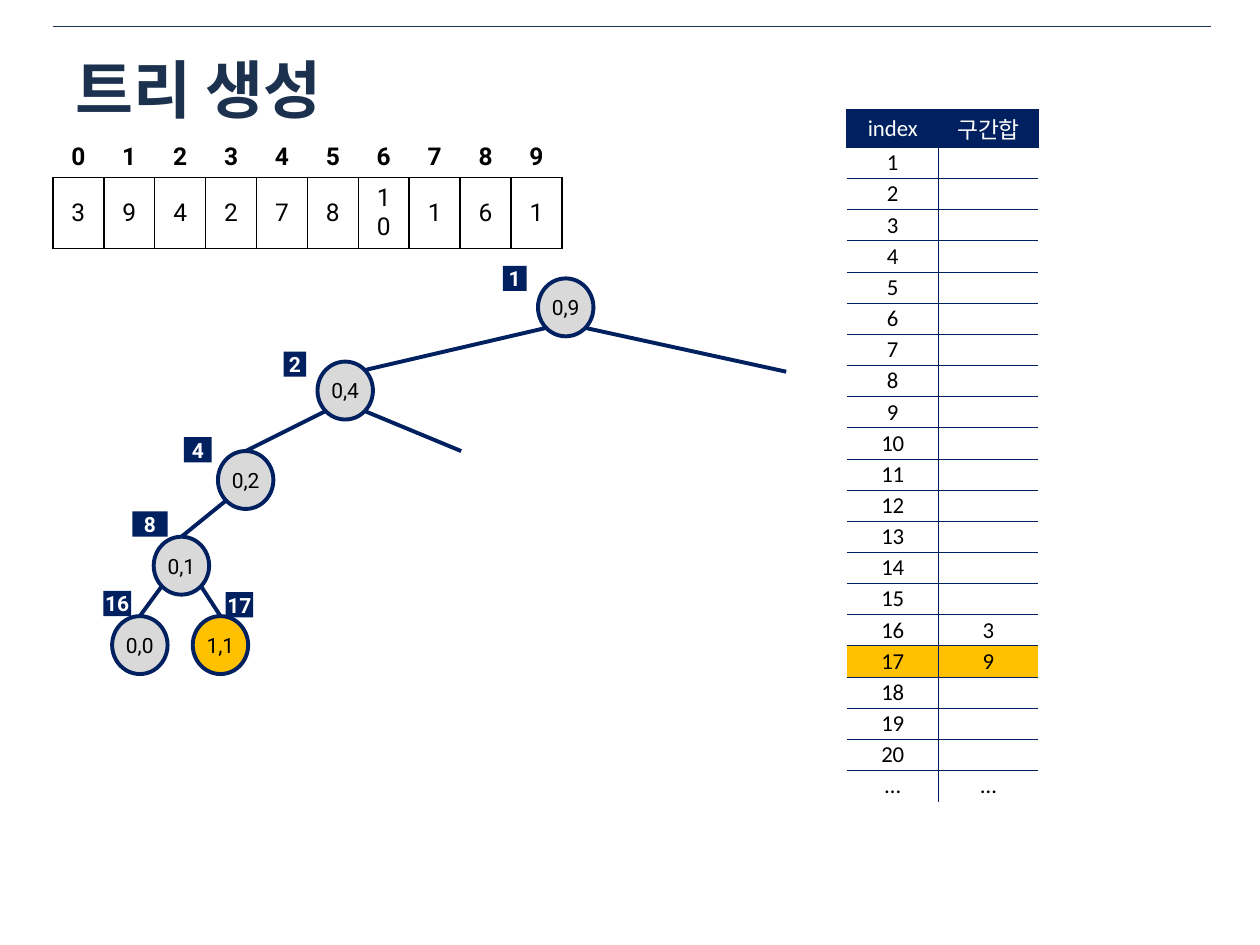
from dataclasses import dataclass
from math import cos, pi

from lxml import etree
from pptx import Presentation
from pptx import util as u
from pptx.dml.color import RGBColor
from pptx.enum import shapes, text
from pptx.oxml.ns import qn

NAVY = RGBColor(0x00, 0x20, 0x60)
INK = RGBColor(0x1C, 0x31, 0x4E)
GRAY = RGBColor(0xD9, 0xD9, 0xD9)
AMBER = RGBColor(0xFF, 0xC0, 0x00)
BLACK = RGBColor(0x00, 0x00, 0x00)
WHITE = RGBColor(0xFF, 0xFF, 0xFF)

COLUMNS, ROWS = 1000, 750
UNIT = u.Inches(10) // COLUMNS
NODE_W, NODE_H = 44, 46
DIAGONAL = cos(pi / 4)
TAG_H = 20
PLAIN_TABLE = "{2D5ABB26-0587-4C30-8999-92F81FD0307C}"
VALUES = [3, 9, 4, 2, 7, 8, 10, 1, 6, 1]
SUMS = {16: 3, 17: 9}
CURRENT = 17


@dataclass(frozen=True)
class Node:
    index: int
    span: str
    col: float
    row: float
    tag_col: float
    tag_row: float
    tag_width: float
    joins_at_top: bool = True

    def diagonal(self, across: int, down: int) -> tuple[float, float]:
        return (self.col + NODE_W / 2 * (1 + across * DIAGONAL),
                self.row + NODE_H / 2 * (1 + down * DIAGONAL))


@dataclass(frozen=True)
class OpenBranch:
    index: int
    col: float
    row: float


NODES = [
    Node(1, "0,9", 427, 221, 399, 211, 19),
    Node(2, "0,4", 252, 287, 225, 279, 18, joins_at_top=False),
    Node(4, "0,2", 173, 358, 146, 347, 22),
    Node(8, "0,1", 122, 426, 105, 406, 28),
    Node(16, "0,0", 89, 489, 82, 469, 22),
    Node(17, "1,1", 153, 489, 179, 470, 22),
]
OPEN_BRANCHES = [OpenBranch(3, 624, 295), OpenBranch(5, 366, 358)]


def grid(*lengths: float) -> list[int]:
    return [round(length * UNIT) for length in lengths]


def write(frame, words: str, size: float, font: str, color: RGBColor,
          bold: bool = False, align=text.PP_ALIGN.CENTER) -> None:
    paragraph = frame.paragraphs[0]
    paragraph.alignment = align
    paragraph.font.size = u.Pt(size)
    paragraph.font.name = font
    paragraph.font.bold = bold
    paragraph.font.color.rgb = color
    if words:
        paragraph.add_run().text = words
    else:
        paragraph._p.get_or_add_endParaRPr().set("sz", str(size * 100))


def draw_line(slide, start: tuple[float, float], end: tuple[float, float],
              color: RGBColor, width: float):
    line = slide.shapes.add_connector(
        shapes.MSO_CONNECTOR.STRAIGHT, *grid(*start, *end))
    line.line.color.rgb = color
    line.line.width = u.Pt(width)
    etree.SubElement(line.element.spPr, qn("a:effectLst"))
    return line


def draw_box(slide, preset, place: tuple[float, ...], fill: RGBColor,
             words: str, color: RGBColor, bold: bool):
    box = slide.shapes.add_shape(preset, *grid(*place))
    box.shadow.inherit = False
    box.fill.solid()
    box.fill.fore_color.rgb = fill
    frame = box.text_frame
    frame.margin_left = frame.margin_right = 0
    frame.margin_top = frame.margin_bottom = 0
    frame.vertical_anchor = text.MSO_ANCHOR.MIDDLE
    write(frame, words, 12, "Roboto", color, bold)
    return box


def draw_node(slide, node: Node):
    circle = draw_box(slide, shapes.MSO_SHAPE.OVAL,
                      (node.col, node.row, NODE_W, NODE_H),
                      AMBER if node.index == CURRENT else GRAY,
                      node.span, BLACK, False)
    circle.line.color.rgb = NAVY
    circle.line.width = u.Pt(2.25)
    return circle


def draw_tag(slide, node: Node) -> None:
    tag = draw_box(slide, shapes.MSO_SHAPE.RECTANGLE,
                   (node.tag_col, node.tag_row, node.tag_width, TAG_H),
                   NAVY, str(node.index), WHITE, True)
    tag.line.fill.background()


def draw_tree(slide) -> None:
    by_index = {node.index: node for node in NODES}
    circles = {node.index: draw_node(slide, node) for node in NODES}
    for child in NODES[1:] + OPEN_BRANCHES:
        side = 1 if child.index % 2 else -1
        start = by_index[child.index // 2].diagonal(side, 1)
        if isinstance(child, OpenBranch):
            draw_line(slide, start, (child.col, child.row), NAVY, 2.25)
        else:
            branch = draw_line(slide, start, child.diagonal(1, -1), NAVY, 2.25)
            if child.joins_at_top:
                branch.end_connect(circles[child.index], 0)
    for node in NODES:
        draw_tag(slide, node)


def add_plain_table(slide, col: float, row: float,
                    widths: list[float], heights: list[float]):
    frame = slide.shapes.add_table(
        len(heights), len(widths),
        *grid(col, row, sum(widths), sum(heights)))
    table = frame.table
    table.horz_banding = False
    next(frame.element.iter(qn("a:tableStyleId"))).text = PLAIN_TABLE
    for column, width in zip(table.columns, widths):
        column.width = grid(width)[0]
    for line, height in zip(table.rows, heights):
        line.height = grid(height)[0]
    return table


def fill_cell(cell, words: str, size: int, font: str, color: RGBColor,
              bold: bool = False, fill: RGBColor | None = None) -> None:
    cell.vertical_anchor = text.MSO_ANCHOR.MIDDLE
    write(cell.text_frame, words, size, font, color, bold)
    if fill is None:
        cell.fill.background()
    else:
        cell.fill.solid()
        cell.fill.fore_color.rgb = fill


def border(cell, color: RGBColor, **widths: float) -> None:
    properties = cell._tc.get_or_add_tcPr()
    sides = [side for side in "LRTB" if side in widths]
    for position, side in enumerate(sides):
        edge = etree.Element(qn(f"a:ln{side}"), w=str(u.Pt(widths[side])))
        paint = etree.SubElement(edge, qn("a:solidFill"))
        etree.SubElement(paint, qn("a:srgbClr"), val=str(color))
        properties.insert(position, edge)


def draw_array(slide) -> None:
    table = add_plain_table(slide, 42, 108, [40.4] * len(VALUES), [29, 29])
    for place, value in enumerate(VALUES):
        heading, item = table.cell(0, place), table.cell(1, place)
        fill_cell(heading, str(place), 14, "Roboto", BLACK, bold=True)
        fill_cell(item, str(value), 14, "Roboto", BLACK)
        border(heading, BLACK, B=1)
        border(item, BLACK, L=1, R=1, T=1, B=1)


def draw_sums(slide) -> None:
    entries = [("index", "구간합")]
    entries += [(str(i), str(SUMS.get(i, ""))) for i in range(1, 21)]
    entries.append(("…", "…"))
    last = len(entries) - 1
    table = add_plain_table(slide, 672, 87, [73, 79], [30] + [24.75] * last)
    for row, entry in enumerate(entries):
        header = row == 0
        fill = NAVY if header else AMBER if row == CURRENT else None
        for column, words in enumerate(entry):
            cell = table.cell(row, column)
            cell.margin_left = cell.margin_right = u.Inches(0.04)
            cell.margin_top = cell.margin_bottom = 0
            fill_cell(cell, words, 13, "Calibri",
                      WHITE if header else BLACK, fill=fill)
            if header:
                border(cell, NAVY, T=1, B=1, **{"LR"[column]: 1})
            else:
                edges = {"RL"[column]: 0.5, "T": 1 if row == 1 else 0.5}
                if row < last:
                    edges["B"] = 0.5
                border(cell, NAVY, **edges)


def draw_title(slide) -> None:
    title = slide.shapes.title
    title.left, title.top, title.width, title.height = grid(50, 33, 900, 75)
    frame = title.text_frame
    frame.auto_size = text.MSO_AUTO_SIZE.NONE
    frame.vertical_anchor = text.MSO_ANCHOR.MIDDLE
    write(frame, "트리 생성", 36, "Noto Sans CJK KR", INK, True,
          text.PP_ALIGN.LEFT)
    defaults = next(title.element.iter(qn("a:defRPr")))
    etree.SubElement(defaults, qn("a:ea"), typeface="Noto Sans CJK KR")


def main() -> None:
    deck = Presentation()
    deck.slide_width, deck.slide_height = grid(COLUMNS, ROWS)
    slide = deck.slides.add_slide(deck.slide_layouts[5])
    draw_line(slide, (42, 21), (961, 21), INK, 0.25)
    draw_title(slide)
    draw_array(slide)
    draw_tree(slide)
    draw_sums(slide)
    deck.save("out.pptx")


if __name__ == "__main__":
    main()
